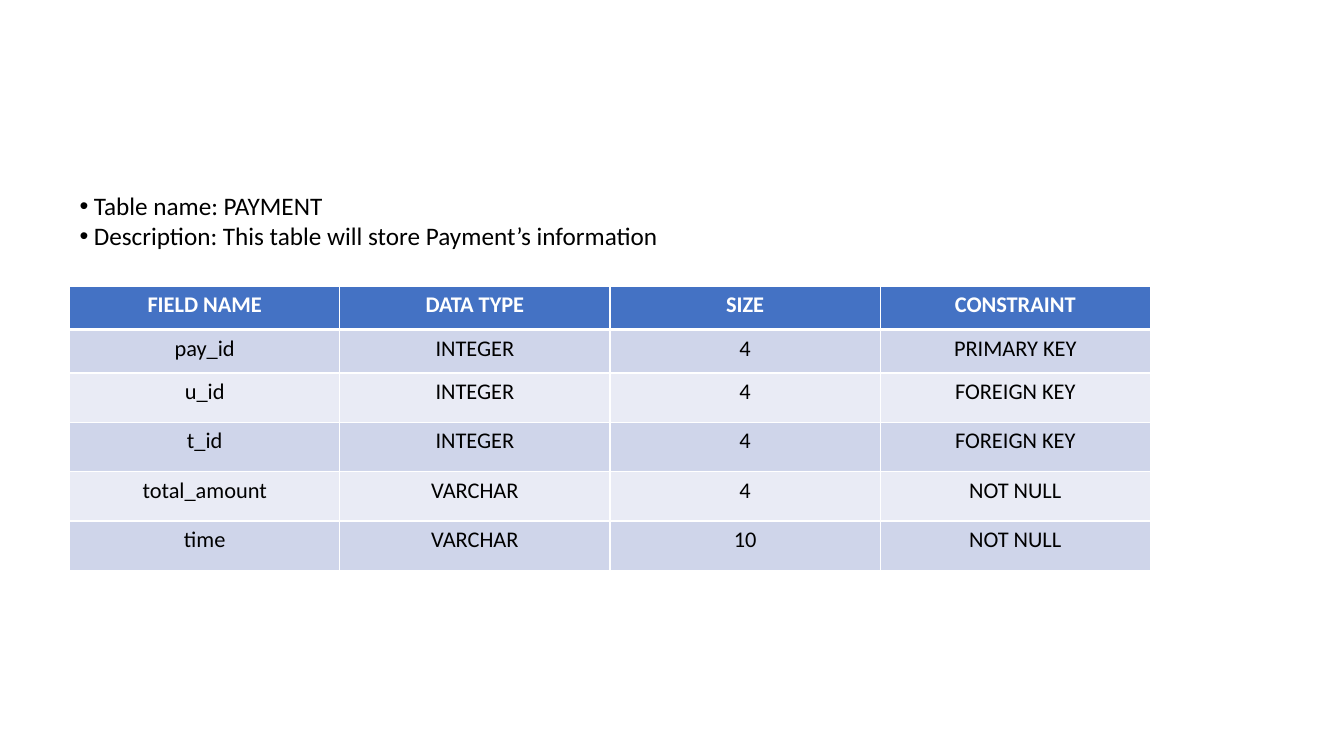
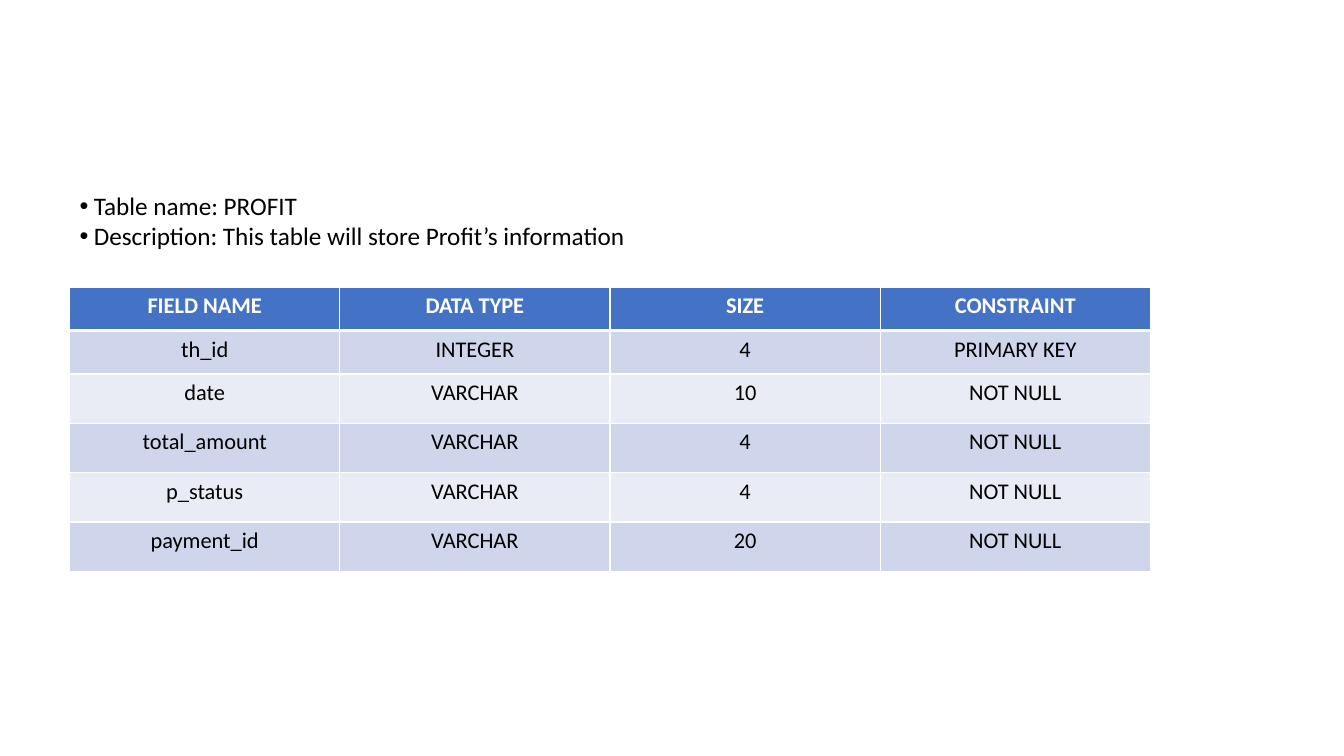
from lxml import etree
from pptx import Presentation
from pptx import util as u
from pptx.dml.color import RGBColor
from pptx.enum import text
from pptx.oxml import ns

PX = 9144  # one px is a hundredth of an inch
FONT = "Calibri"
WHITE, BLACK = "FFFFFF", "000000"
HEADER_FILL = "4472C4"
BAND_FILLS = ("CFD5EA", "E9EBF5")
LEFT = 69
LIST_TOP, LIST_WIDTH, LIST_HEIGHT = 184, 597, 71
BULLET_INDENT = 14
COLUMN_WIDTH = 268
ROW_HEIGHTS = (43, 43, 49, 49, 49, 49)
HEADINGS = ("FIELD NAME", "DATA TYPE", "SIZE", "CONSTRAINT")

# Table name, top of the grid, fields
TABLES = (
    ("Payment", 284, (
        ("pay_id", "INTEGER", "4", "PRIMARY KEY"),
        ("u_id", "INTEGER", "4", "FOREIGN KEY"),
        ("t_id", "INTEGER", "4", "FOREIGN KEY"),
        ("total_amount", "VARCHAR", "4", "NOT NULL"),
        ("time", "VARCHAR", "10", "NOT NULL"),
    )),
    ("Profit", 285, (
        ("th_id", "INTEGER", "4", "PRIMARY KEY"),
        ("date", "VARCHAR", "10", "NOT NULL"),
        ("total_amount", "VARCHAR", "4", "NOT NULL"),
        ("p_status", "VARCHAR", "4", "NOT NULL"),
        ("payment_id", "VARCHAR", "20", "NOT NULL"),
    )),
)


def px(length):
    return u.Emu(length * PX)


def color(hex_string):
    return RGBColor.from_string(hex_string)


def add_element(parent, tag, **attributes):
    element = etree.SubElement(parent, ns.qn(tag))
    for name, value in attributes.items():
        element.set(name, str(value))
    return element


def style_font(paragraph, size, hex_string, bold=False):
    font = paragraph.font
    font.name, font.size, font.bold = FONT, u.Pt(size), bold
    font.color.rgb = color(hex_string)


def add_bullet(paragraph):
    properties = paragraph._p.get_or_add_pPr()
    properties.set("marL", str(px(BULLET_INDENT)))
    properties.set("indent", str(-px(BULLET_INDENT)))
    add_element(properties, "a:buFont", typeface="Arial")
    add_element(properties, "a:buChar", char="•")


def fill_list(shape, lines):
    shape.left, shape.top = px(LEFT), px(LIST_TOP)
    shape.width, shape.height = px(LIST_WIDTH), px(LIST_HEIGHT)
    frame = shape.text_frame
    frame.text = "\n".join(lines)
    frame.word_wrap = True
    frame.auto_size = text.MSO_AUTO_SIZE.SHAPE_TO_FIT_TEXT
    for paragraph in frame.paragraphs:
        paragraph.space_before = u.Pt(0)
        add_bullet(paragraph)
        style_font(paragraph, 18, BLACK)


def set_borders(cell, top, bottom):
    properties = cell._tc.get_or_add_tcPr()
    for side, width in (("L", 1), ("R", 1), ("T", top), ("B", bottom)):
        line = add_element(properties, f"a:ln{side}", w=u.Pt(width))
        fill = add_element(line, "a:solidFill")
        add_element(fill, "a:srgbClr", val=WHITE)


def fill_cell(cell, value, row_index):
    is_header = row_index == 0
    # The rule below the header is heavier than the other lines
    set_borders(cell, 3 if row_index == 1 else 1, 3 if is_header else 1)
    cell.fill.solid()
    cell.fill.fore_color.rgb = color(
        HEADER_FILL if is_header else BAND_FILLS[(row_index - 1) % 2])
    cell.text = value
    paragraph = cell.text_frame.paragraphs[0]
    paragraph.alignment = text.PP_ALIGN.CENTER
    style_font(paragraph, 16, WHITE if is_header else BLACK, is_header)


def add_grid(slide, top, rows):
    table = slide.shapes.add_table(
        len(rows), len(HEADINGS), px(LEFT), px(top),
        px(COLUMN_WIDTH * len(HEADINGS)), px(sum(ROW_HEIGHTS))).table
    for row, height in zip(table.rows, ROW_HEIGHTS):
        row.height = px(height)
    for row_index, values in enumerate(rows):
        for column_index, value in enumerate(values):
            fill_cell(table.cell(row_index, column_index), value, row_index)


def add_table_slide(presentation, name, top, fields):
    slide = presentation.slides.add_slide(presentation.slide_layouts[1])
    # These slides have no title
    title = slide.shapes.title._element
    title.getparent().remove(title)
    fill_list(slide.placeholders[1], (
        f"Table name: {name.upper()}",
        f"Description: This table will store {name}’s information"))
    add_grid(slide, top, (HEADINGS, *fields))


def main():
    presentation = Presentation()
    presentation.slide_width, presentation.slide_height = px(1333), px(750)
    for name, top, fields in TABLES:
        add_table_slide(presentation, name, top, fields)
    presentation.save("out.pptx")


if __name__ == "__main__":
    main()
